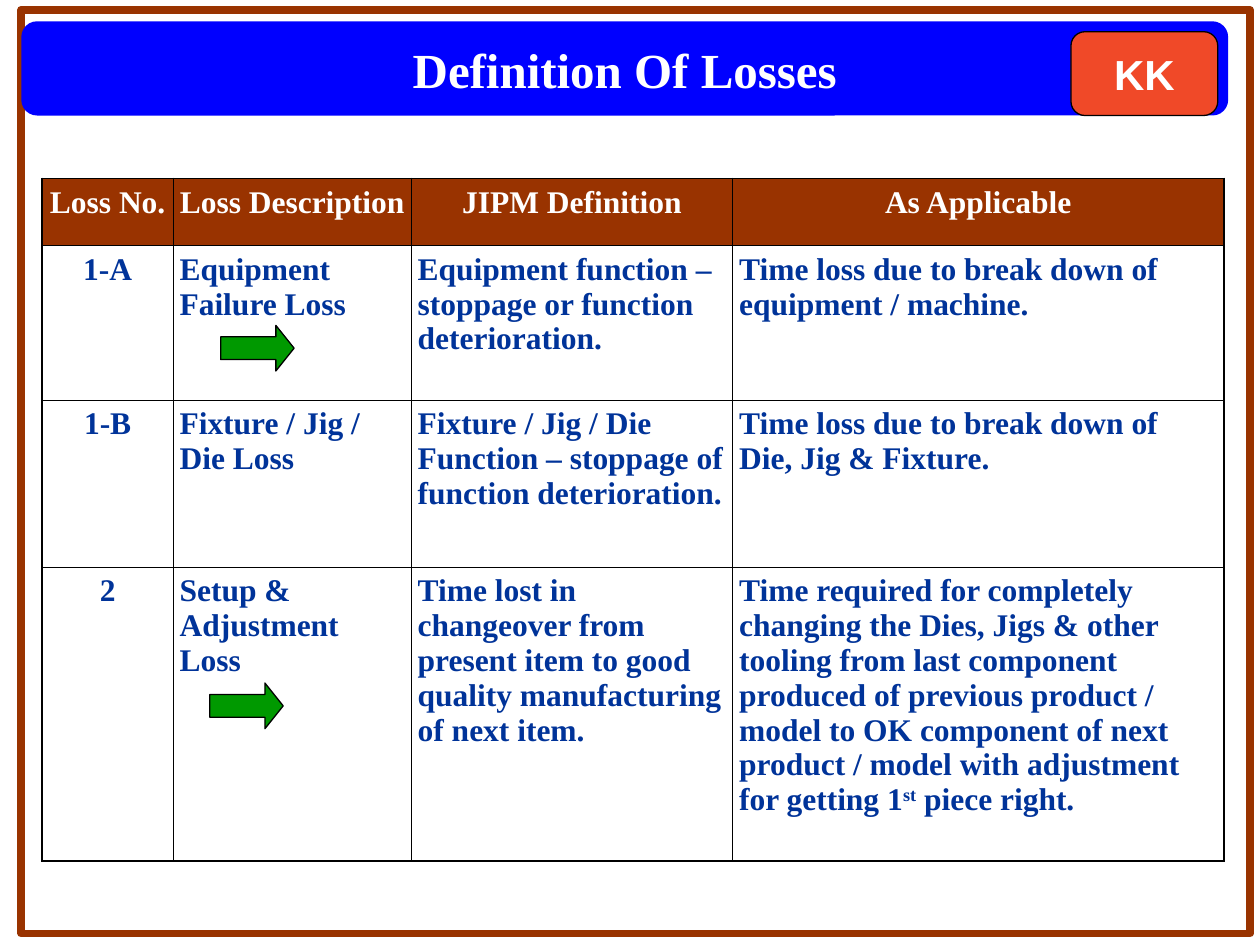
from dataclasses import dataclass

from lxml import etree
from pptx import Presentation
from pptx.dml.color import RGBColor
from pptx.enum.shapes import MSO_SHAPE
from pptx.enum.text import MSO_ANCHOR, PP_ALIGN
from pptx.oxml.ns import qn
from pptx.util import Cm, Pt

RECTANGLE = MSO_SHAPE.RECTANGLE
ROUNDED = MSO_SHAPE.ROUNDED_RECTANGLE
ARROW = MSO_SHAPE.RIGHT_ARROW
CENTER, LEFT = PP_ALIGN.CENTER, PP_ALIGN.LEFT
MIDDLE = MSO_ANCHOR.MIDDLE

COLORS = {
    "brown": "993300",
    "blue": "0000FF",
    "navy": "003399",
    "orange": "F04928",
    "green": "009900",
    "white": "FFFFFF",
    "black": "000000",
}
SERIF, SANS = "Times New Roman", "Arial"
OUTER_LINE, INNER_LINE = 1.08, 0.45
CELL_MARGIN = Cm(0.13)
SUPERSCRIPT_MARK = "^"


@dataclass
class Block:
    kind: int
    left: float
    top: float
    width: float
    height: float
    fill: str | None = None
    line: str | None = None
    line_width: float = 0.75
    adjustments: tuple[float, ...] = ()
    text: str = ""
    font: str = SERIF
    size: int = 28


FRAME = Block(RECTANGLE, 0.43, 0.2, 24.77, 18.62, line="brown", line_width=4.5)
TITLE = Block(ROUNDED, 0.43, 0.43, 24.33, 1.9, "blue",
              adjustments=(0.167,), text="Definition Of Losses")
BADGE = Block(ROUNDED, 21.59, 0.64, 2.96, 1.69, "orange", "black",
              adjustments=(0.167,), text="KK", font=SANS, size=24)
ARROWS = [
    Block(ARROW, left, top, 1.48, 0.92, "green", "black", adjustments=(0.5, 0.4))
    for left, top in ((4.45, 6.56), (4.23, 13.77))
]

TABLE_LEFT, TABLE_TOP = 0.85, 3.6
COLUMN_WIDTHS = (2.64, 4.8, 6.48, 9.9)
ROW_HEIGHTS = (1.35, 3.12, 3.36, 5.92)
# Text between two superscript marks is raised.
LOSSES = (
    ("Loss No.", "Loss Description", "JIPM Definition", "As Applicable"),
    ("1-A", "Equipment Failure Loss",
     "Equipment function – stoppage or function deterioration.",
     "Time loss due to break down of equipment / machine."),
    ("1-B", "Fixture / Jig / Die Loss",
     "Fixture / Jig / Die Function – stoppage of function deterioration.",
     "Time loss due to break down of Die, Jig & Fixture."),
    ("2", "Setup & Adjustment Loss",
     "Time lost in changeover from present item to good quality "
     "manufacturing of next item.",
     "Time required for completely changing the Dies, Jigs & other tooling "
     "from last component produced of previous product / model to OK component "
     "of next product / model with adjustment for getting 1^st^ piece right."),
)


def color(name: str) -> RGBColor:
    return RGBColor.from_string(COLORS[name])


def add_run(paragraph, text: str, font: str, size: int, color_name: str):
    run = paragraph.add_run()
    run.text = text
    run.font.name = font
    run.font.size = Pt(size)
    run.font.bold = True
    run.font.color.rgb = color(color_name)
    return run


def add_block(slide, block: Block) -> None:
    shape = slide.shapes.add_shape(
        block.kind, Cm(block.left), Cm(block.top), Cm(block.width), Cm(block.height))
    shape.shadow.inherit = False
    for index, value in enumerate(block.adjustments):
        shape.adjustments[index] = value
    if block.fill:
        shape.fill.solid()
        shape.fill.fore_color.rgb = color(block.fill)
    else:
        shape.fill.background()
    if block.line:
        shape.line.color.rgb = color(block.line)
        shape.line.width = Pt(block.line_width)
    else:
        shape.line.fill.background()
    if block.text:
        frame = shape.text_frame
        frame.word_wrap = False
        frame.vertical_anchor = MIDDLE
        paragraph = frame.paragraphs[0]
        paragraph.alignment = CENTER
        add_run(paragraph, block.text, block.font, block.size, "white")


def set_borders(cell, row: int, column: int) -> None:
    """Draw thick lines on the table's outer edge and thin ones inside."""
    outer_edges = {
        "a:lnL": column == 0,
        "a:lnR": column == len(COLUMN_WIDTHS) - 1,
        "a:lnT": row == 0,
        "a:lnB": row == len(ROW_HEIGHTS) - 1,
    }
    properties = cell._tc.get_or_add_tcPr()
    for tag, is_outer in outer_edges.items():
        width = Pt(OUTER_LINE if is_outer else INNER_LINE)
        line = etree.SubElement(properties, qn(tag), w=str(width))
        fill = etree.SubElement(line, qn("a:solidFill"))
        etree.SubElement(fill, qn("a:srgbClr"), val=COLORS["black"])


def fill_cell(cell, text: str, row: int, column: int) -> None:
    is_header = row == 0
    cell.margin_left = cell.margin_right = CELL_MARGIN
    cell.margin_top = cell.margin_bottom = CELL_MARGIN
    set_borders(cell, row, column)
    if is_header:
        cell.fill.solid()
        cell.fill.fore_color.rgb = color("brown")
    else:
        cell.fill.background()
    paragraph = cell.text_frame.paragraphs[0]
    paragraph.alignment = CENTER if is_header or column == 0 else LEFT
    for index, part in enumerate(text.split(SUPERSCRIPT_MARK)):
        run = add_run(paragraph, part, SERIF, 18, "white" if is_header else "navy")
        if index % 2:
            run._r.get_or_add_rPr().set("baseline", "30000")


def add_loss_table(slide) -> None:
    table = slide.shapes.add_table(
        len(ROW_HEIGHTS), len(COLUMN_WIDTHS), Cm(TABLE_LEFT), Cm(TABLE_TOP),
        Cm(sum(COLUMN_WIDTHS)), Cm(sum(ROW_HEIGHTS))).table
    table.first_row = table.horz_banding = False
    for column, width in zip(table.columns, COLUMN_WIDTHS):
        column.width = Cm(width)
    for row, height in zip(table.rows, ROW_HEIGHTS):
        row.height = Cm(height)
    for row_index, texts in enumerate(LOSSES):
        for column_index, text in enumerate(texts):
            fill_cell(table.cell(row_index, column_index), text, row_index, column_index)


def main() -> None:
    presentation = Presentation()
    presentation.slide_width, presentation.slide_height = Cm(25.4), Cm(19.05)
    slide = presentation.slides.add_slide(presentation.slide_layouts[6])
    add_block(slide, FRAME)
    add_block(slide, TITLE)
    add_loss_table(slide)
    for block in (BADGE, *ARROWS):
        add_block(slide, block)
    presentation.save("out.pptx")


if __name__ == "__main__":
    main()
